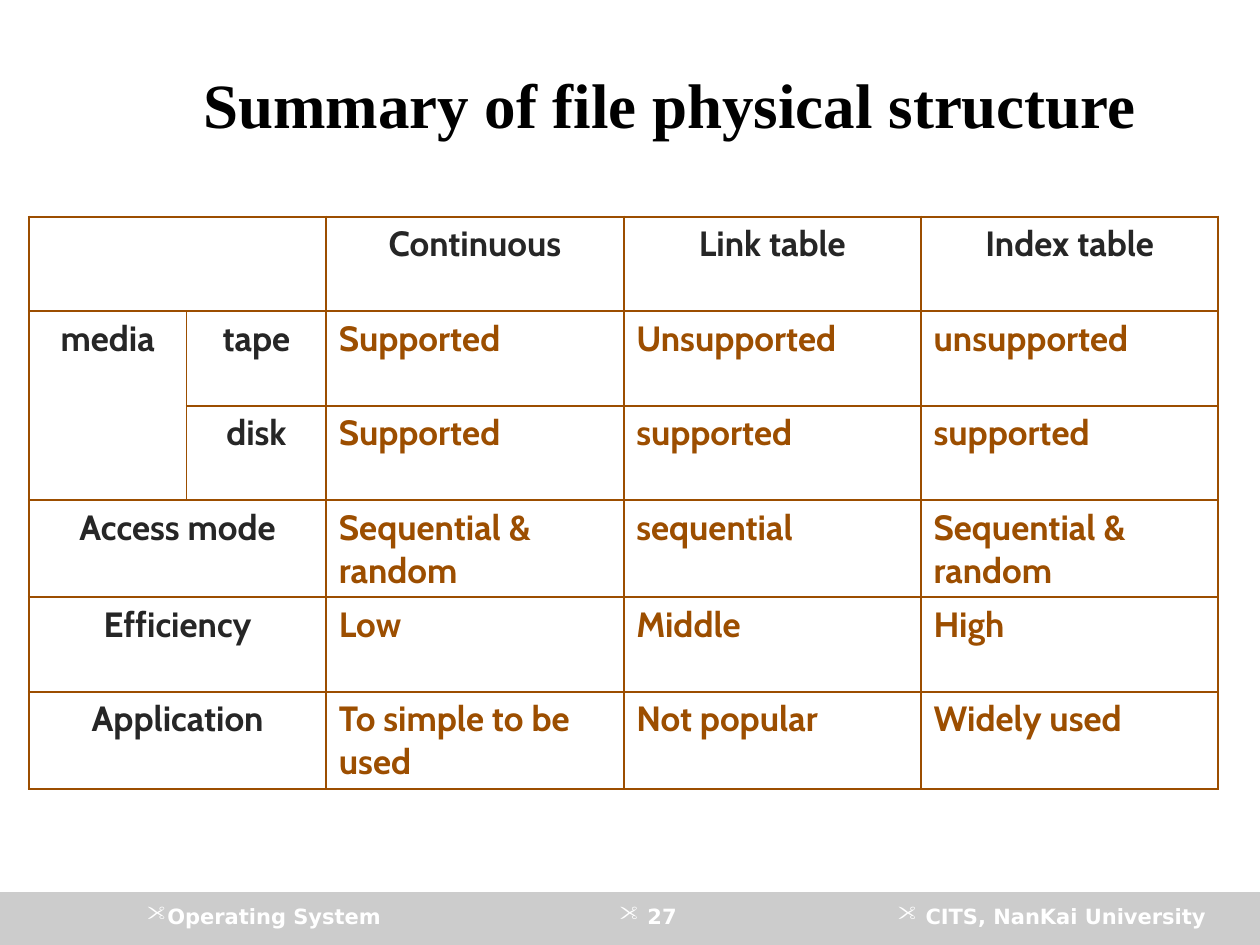
from lxml import etree
from pptx import Presentation, util as u
from pptx.dml.color import RGBColor
from pptx.enum import shapes, text
from pptx.oxml import ns

BROWN = RGBColor(0x9C, 0x4E, 0x00)
DARK = RGBColor(0x26, 0x26, 0x26)
GREY = RGBColor(0xCC, 0xCC, 0xCC)
WHITE = RGBColor(0xFF, 0xFF, 0xFF)
BLACK = RGBColor(0x00, 0x00, 0x00)
LEFT, CENTER, RIGHT = text.PP_ALIGN.LEFT, text.PP_ALIGN.CENTER, text.PP_ALIGN.RIGHT

COLUMNS = [1.25, 1.11, 2.36, 2.36, 2.36]
HEIGHTS = [0.75, 0.75, 0.75, 0.77, 0.75, 0.77]
ROWS = [
    ["", "", "Continuous", "Link table", "Index table"],
    ["media", "tape", "Supported", "Unsupported", "unsupported"],
    ["", "disk", "Supported", "supported", "supported"],
    ["Access mode", "", "Sequential & random", "sequential", "Sequential & random"],
    ["Efficiency", "", "Low", "Middle", "High"],
    ["Application", "", "To simple to be used", "Not popular", "Widely used"],
]
FOOTERS = [
    ("Operating System", 1.07, 2.75, LEFT, 0.12),
    ("CITS, NanKai University", 6.5, 3.17, RIGHT, 0.22),
    ("27", 4.01, 2.33, CENTER, 0.22),
]


def style(p, size, font, color, align):
    """Format a paragraph and its runs in bold."""
    p.alignment = align
    for r in p.runs:
        r.font.size, r.font.name, r.font.bold = u.Pt(size), font, True
        r.font.color.rgb = color


def add_text(s, words, box, size, font, color, align):
    """Add a one-paragraph text box and return its frame."""
    tf = s.shapes.add_textbox(*map(u.Inches, box)).text_frame
    tf.word_wrap = True
    tf.text = words
    style(tf.paragraphs[0], size, font, color, align)
    return tf


def add_bullet(p, gap):
    """Give a paragraph a scissors bullet hanging by the gap."""
    pPr = p._p.get_or_add_pPr()
    pPr.set("marL", str(u.Inches(0.12)))
    pPr.set("indent", str(-u.Inches(gap)))
    etree.SubElement(pPr, ns.qn("a:buFont"), typeface="Wingdings")
    etree.SubElement(pPr, ns.qn("a:buChar"), char='"')


def add_footer(s):
    """Add the grey band and its three bulleted labels."""
    sp = s.shapes.add_shape(shapes.MSO_SHAPE.RECTANGLE, 0, u.Inches(7.08), u.Inches(10), u.Inches(0.42))
    sp.shadow.inherit = False
    sp.fill.solid()
    sp.fill.fore_color.rgb = GREY
    sp.line.fill.background()
    for words, left, width, align, gap in FOOTERS:
        tf = add_text(s, words, (left, 7.12, width, 0.33), 12, "DejaVu Sans", WHITE, align)
        add_bullet(tf.paragraphs[0], gap)


def set_borders(cell, widths):
    """Draw the left, right, top and bottom cell borders."""
    tcPr = cell._tc.get_or_add_tcPr()
    for i, (side, width) in enumerate(zip("LRTB", widths)):
        ln = etree.Element(ns.qn(f"a:ln{side}"), w=str(u.Pt(width)))
        fill = etree.SubElement(ln, ns.qn("a:solidFill"))
        etree.SubElement(fill, ns.qn("a:srgbClr"), val=str(BROWN))
        tcPr.insert(i, ln)


def add_table(s):
    """Add the comparison table with its merged headings."""
    box = map(u.Inches, (0.23, 1.72, sum(COLUMNS), sum(HEIGHTS)))
    table = s.shapes.add_table(len(ROWS), len(COLUMNS), *box).table
    for column, width in zip(table.columns, COLUMNS):
        column.width = u.Inches(width)
    for row, height in zip(table.rows, HEIGHTS):
        row.height = u.Inches(height)
    for i, row in enumerate(ROWS):
        for j, words in enumerate(row):
            cell = table.cell(i, j)
            cell.fill.solid()
            cell.fill.fore_color.rgb = WHITE
            cell.text_frame.text = words
            heading = i == 0 or j < 2
            color, align = (DARK, CENTER) if heading else (BROWN, LEFT)
            style(cell.text_frame.paragraphs[0], 20, "Cabin", color, align)
            media = i in (1, 2)
            left = 1 if media and j == 1 else 1.5
            right = 1 if media and j == 0 else 1.5
            set_borders(cell, (left, right, 1.5, 1.5))
    for i in (0, 3, 4, 5):
        table.cell(i, 0).merge(table.cell(i, 1))
    table.cell(1, 0).merge(table.cell(2, 0))


def main():
    """Build the slide and save it."""
    prs = Presentation()
    prs.slide_width, prs.slide_height = u.Inches(10), u.Inches(7.5)
    s = prs.slides.add_slide(prs.slide_layouts[6])
    tf = add_text(s, "Summary of file physical structure", (1.06, 0.33, 8.51, 0.98),
                  36, "Times New Roman", BLACK, CENTER)
    tf.vertical_anchor = text.MSO_ANCHOR.MIDDLE
    add_footer(s)
    add_table(s)
    prs.save("out.pptx")


if __name__ == "__main__":
    main()
